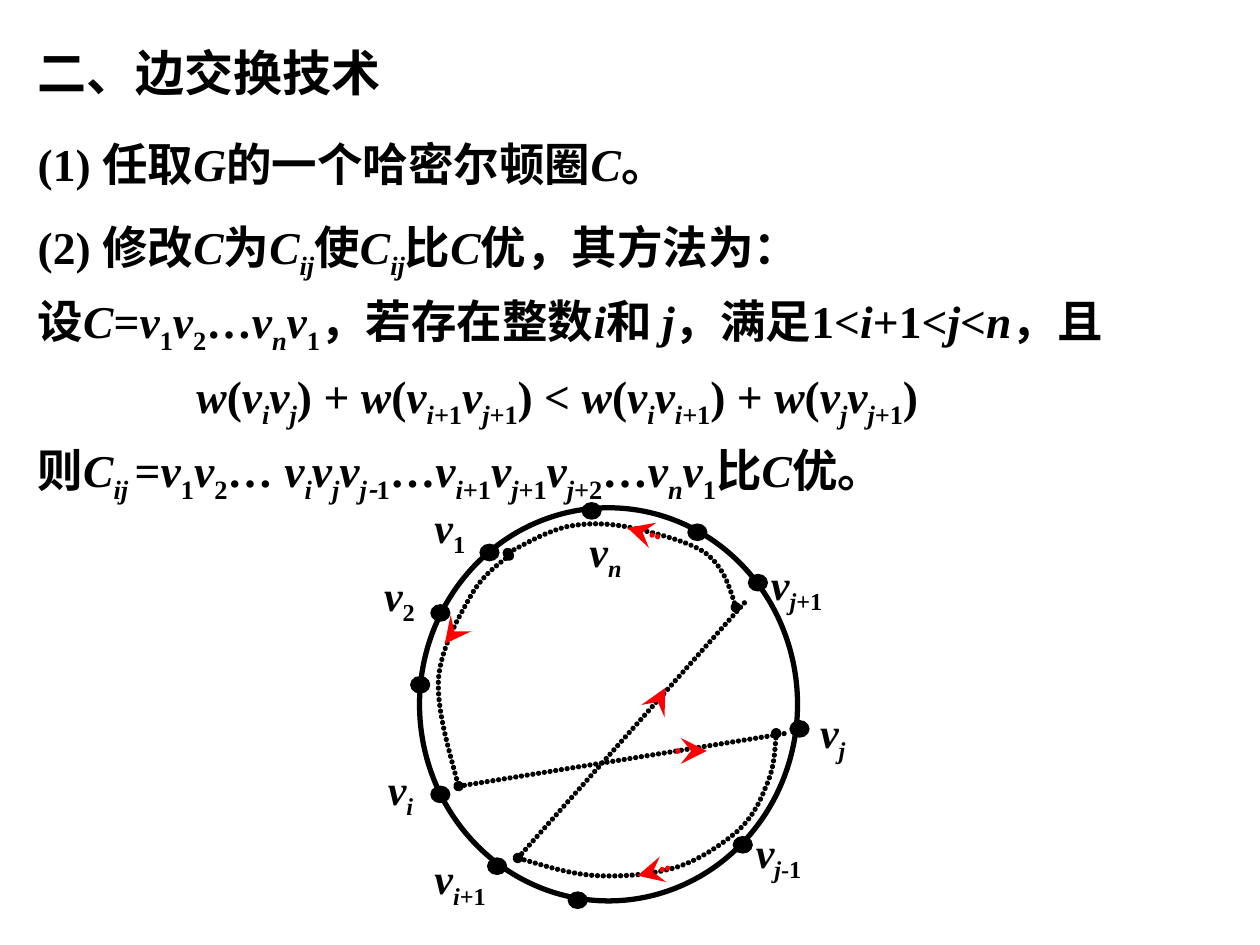
from dataclasses import dataclass

from lxml import etree
from pptx import Presentation
from pptx.dml.color import RGBColor
from pptx.enum.shapes import MSO_CONNECTOR, MSO_SHAPE
from pptx.enum.text import MSO_ANCHOR, PP_ALIGN
from pptx.oxml.ns import qn
from pptx.util import Inches, Pt

OVAL = MSO_SHAPE.OVAL
STRAIGHT = MSO_CONNECTOR.STRAIGHT
TOP = MSO_ANCHOR.TOP
LEFT = PP_ALIGN.LEFT


@dataclass
class Theme:
    ink: RGBColor = RGBColor(0, 0, 0)
    arrow: RGBColor = RGBColor(255, 0, 0)
    latin: str = "Times New Roman"
    chinese: str = "Noto Sans CJK SC"
    title: int = 28
    body: int = 26
    label: int = 24
    stroke: float = 3
    dot_stroke: float = 0.75


theme = Theme()


def write_markup(para, markup, size):
    para.alignment = LEFT
    subscript = False
    for part_index, part in enumerate(markup.split("*")):
        for piece_index, piece in enumerate(part.split("_")):
            if piece_index:
                subscript = not subscript
            if not piece:
                continue
            span = para.add_run()
            span.text = piece
            span.font.size = Pt(size)
            span.font.bold = True
            span.font.italic = part_index % 2 == 1
            span.font.name = theme.chinese if piece == "-" else theme.latin
            span.font.color.rgb = theme.ink
            properties = span._r.get_or_add_rPr()
            etree.SubElement(properties, qn("a:ea"), typeface=theme.chinese)
            if subscript:
                properties.set("baseline", "-25000")


def style_path(shape, color, ends):
    shape.line.color.rgb = color
    shape.line.width = Pt(theme.stroke)
    outline = shape._element.spPr.find(qn("a:ln"))
    outline.set("cap", "rnd")
    dashes = etree.SubElement(outline, qn("a:custDash"))
    etree.SubElement(dashes, qn("a:ds"), d="100000", sp="10000")
    for tag, (kind, scale) in ends.items():
        etree.SubElement(outline, qn(f"a:{tag}"), type=kind, w=scale, len=scale)


deck = Presentation()
deck.slide_width, deck.slide_height = Inches(10), Inches(7.5)
page = deck.slides.add_slide(deck.slide_layouts[5])

title = page.shapes.title
title.left, title.top = Inches(0.2), Inches(0.29)
title.width, title.height = Inches(3.07), Inches(0.57)
title.text_frame.vertical_anchor = TOP
title.text_frame.word_wrap = True
write_markup(title.text_frame.paragraphs[0], "二、边交换技术", theme.title)

circle = page.shapes.add_shape(OVAL, Inches(3.33), Inches(4.03), Inches(3), Inches(3.12))
circle.shadow.inherit = False
circle.fill.background()
circle.line.color.rgb = theme.ink
circle.line.width = Pt(theme.stroke)

vertices = [
    (4.62, 3.99), (3.81, 4.32), (3.42, 4.8), (3.26, 5.37), (3.42, 6.24), (3.87, 6.81),
    (4.51, 7.08), (5.82, 6.64), (6.27, 5.72), (5.94, 4.56), (5.46, 4.16),
]
for left, top in vertices:
    vertex = page.shapes.add_shape(OVAL, Inches(left), Inches(top), Inches(0.15), Inches(0.13))
    vertex.shadow.inherit = False
    vertex.fill.solid()
    vertex.fill.fore_color.rgb = theme.ink
    vertex.line.color.rgb = theme.ink
    vertex.line.width = Pt(theme.dot_stroke)

arcs = [
    [(4.04, 4.41), (3.93, 4.5), (3.81, 4.59), (3.72, 4.76), (3.63, 4.92), (3.5, 5.15),
     (3.48, 5.39), (3.47, 5.64), (3.56, 5.94), (3.64, 6.24)],
    [(6.16, 5.82), (6.15, 5.97), (6.14, 6.11), (6.08, 6.24), (6.03, 6.37), (5.97, 6.49),
     (5.85, 6.6), (5.73, 6.7), (5.56, 6.82), (5.38, 6.88), (5.19, 6.94), (4.95, 6.96),
     (4.74, 6.95), (4.53, 6.94), (4.32, 6.87), (4.11, 6.81)],
    [(5.84, 4.82), (5.79, 4.66), (5.74, 4.5), (5.6, 4.39), (5.46, 4.29), (5.15, 4.22),
     (4.97, 4.18), (4.79, 4.15), (4.66, 4.15), (4.5, 4.18), (4.34, 4.22), (4.18, 4.31),
     (4.03, 4.39)],
]
for controls in arcs:
    points = [(Inches(x), Inches(y)) for x, y in controls]
    builder = page.shapes.build_freeform(*points[0])
    builder.add_line_segments(points[3::3], close=False)
    arc = builder.convert_to_shape()
    arc.shadow.inherit = False
    arc.fill.background()
    style_path(arc, theme.ink, {"headEnd": ("oval", "sm"), "tailEnd": ("oval", "sm")})
    segments = list(arc._element.iter(qn("a:lnTo")))
    for index, segment in enumerate(segments):
        curve = etree.Element(qn("a:cubicBezTo"))
        for x, y in points[3 * index + 1:3 * index + 4]:
            etree.SubElement(curve, qn("a:pt"), x=str(x - arc.left), y=str(y - arc.top))
        segment.getparent().replace(segment, curve)

chords = [(3.64, 6.24, 6.24, 5.82), (4.11, 6.81, 5.93, 4.76)]
directions = [
    (5.22, 4.26, 4.98, 4.19),
    (5.38, 5.96, 5.61, 5.96),
    (5.3, 6.89, 5.06, 6.95),
    (5.2, 5.61, 5.28, 5.46),
    (3.64, 4.97, 3.53, 5.11),
]
for lines, color, ends in [
    (chords, theme.ink, {}),
    (directions, theme.arrow, {"tailEnd": ("stealth", "lg")}),
]:
    for coordinates in lines:
        connector = page.shapes.add_connector(STRAIGHT, *map(Inches, coordinates))
        style_path(connector, color, ends)
        etree.SubElement(connector._element.spPr, qn("a:effectLst"))

labels = [
    (2.95, 4.47, 0.84, "*v*_2_"),
    (3.35, 3.93, 0.53, "*v*_1_"),
    (4.58, 4.12, 0.48, "*v_n_*"),
    (2.98, 6.01, 0.84, "*v_i_*"),
    (3.35, 6.72, 0.84, "*v_i*+1_"),
    (5.9, 6.51, 0.84, "*v_j*-1_"),
    (6.41, 5.56, 0.48, "*v_j_*"),
    (6.02, 4.38, 0.84, "*v_j*+1_"),
]
method = [
    "(2) 修改*C*为*C_ij_*使*C_ij_*比*C*优，其方法为：",
    "设*C*=*v*_1_*v*_2_…*v_n_v*_1_，若存在整数*i*和 *j*，满足1<*i*+1<*j*<*n*，且",
    "*w*(*v_i_v_j_*) +* w*(*v_i*+1_*v_j*+1_) < *w*(*v_i_v_i*+1_) +* w*(*v_j_v_j*+1_)",
    "则*C_ij _*=*v*_1_*v*_2_…* v_i_v_j_v_j__-*1_…*v_i*+1_*v_j*+1_*v_j*+2_…*v_n_v*_1_比*C*优。",
]
texts = [(0.2, 1.03, 6.25, 0.54, theme.body, 1, ["(1) 任取*G*的一个哈密尔顿圈*C*。"])]
texts += [(left, top, width, 0.56, theme.label, 1, [markup]) for left, top, width, markup in labels]
texts.append((0.2, 1.59, 9.45, 2.47, theme.body, 1.2, method))
for left, top, width, height, size, spacing, lines in texts:
    box = page.shapes.add_textbox(Inches(left), Inches(top), Inches(width), Inches(height))
    box.text_frame.word_wrap = True
    for index, markup in enumerate(lines):
        para = box.text_frame.add_paragraph() if index else box.text_frame.paragraphs[0]
        para.line_spacing = spacing
        write_markup(para, markup, size)
        if index == 2:
            para._p.get_or_add_pPr().set("marL", str(Inches(1.26)))

deck.save("out.pptx")
